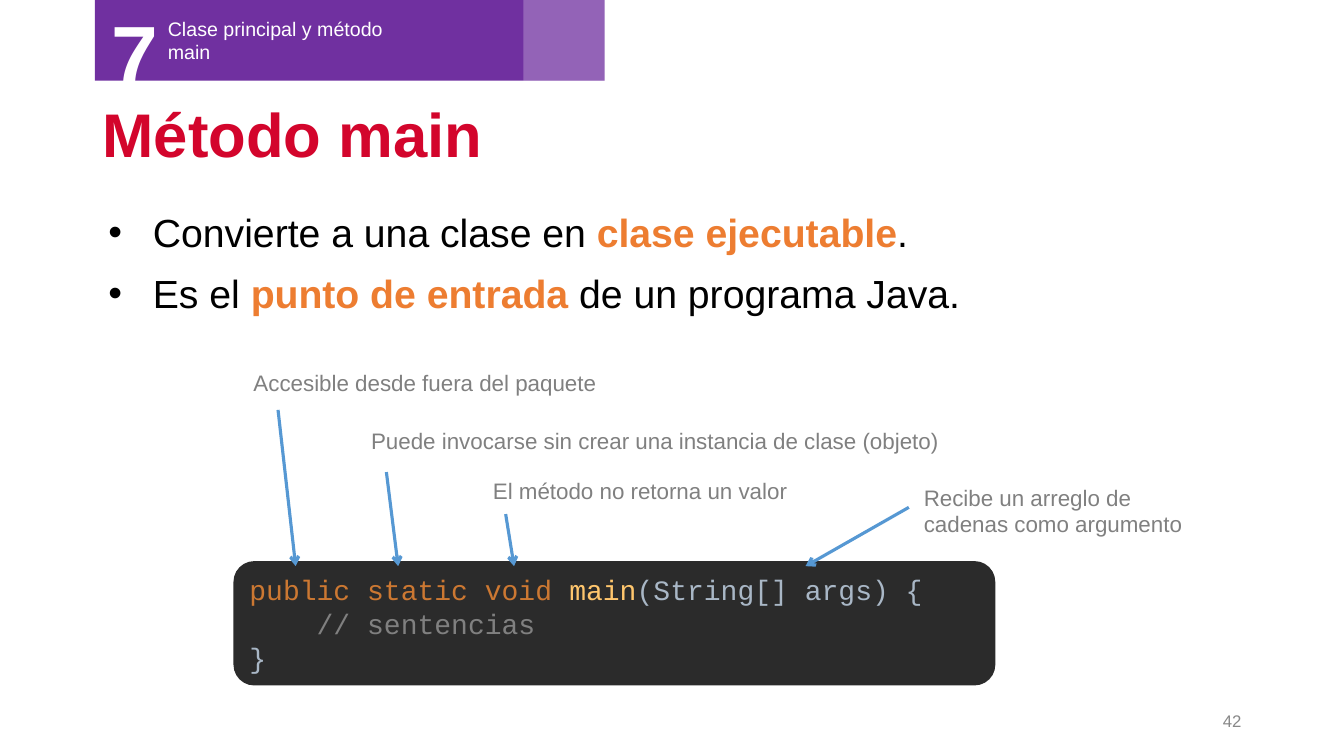
from dataclasses import dataclass

from lxml import etree
from pptx import Presentation
from pptx.dml.color import RGBColor
from pptx.enum.shapes import MSO_CONNECTOR, MSO_SHAPE
from pptx.enum.text import MSO_ANCHOR, MSO_AUTO_SIZE, PP_ALIGN
from pptx.oxml.ns import qn
from pptx.util import Inches, Pt

RECT, ROUND = MSO_SHAPE.RECTANGLE, MSO_SHAPE.ROUNDED_RECTANGLE
LINE = MSO_CONNECTOR.STRAIGHT
TOP, MIDDLE = MSO_ANCHOR.TOP, MSO_ANCHOR.MIDDLE
LEFT, RIGHT = PP_ALIGN.LEFT, PP_ALIGN.RIGHT
FIXED = MSO_AUTO_SIZE.NONE

COLS, ROWS = 160, 90
CELL = Inches(1) // 12
SANS, MONO = "Arial", "Courier New"
COLORS = {
    "title": "D3052C", "text": "000000", "accent": "ED7D31",
    "note": "808080", "page": "888888", "arrow": "5698D3",
    "banner": "7030A0", "white": "FFFFFF", "panel": "2B2B2B",
    "key": "CC7832", "name": "FFC66D", "code": "A9B7C6",
}


@dataclass(frozen=True)
class Box:
    x: float
    y: float
    w: float
    h: float

    def emu(self) -> list[int]:
        return [round(n * CELL) for n in (self.x, self.y, self.w, self.h)]


@dataclass(frozen=True)
class Label:
    text: str
    box: Box
    size: int = 16
    color: str = "note"
    bold: bool = False
    align: PP_ALIGN = LEFT
    anchor: MSO_ANCHOR = TOP


@dataclass(frozen=True)
class Arrow:
    x1: float
    y1: float
    x2: float
    y2: float


@dataclass(frozen=True)
class Span:
    text: str
    color: str
    bold: bool = False


TITLE = Label("Método main", Box(11, 11.2, 138, 10.3), 44, "title", True, anchor=MIDDLE)
BODY = Box(11, 24.2, 138, 57.4)
BULLETS = [
    [Span("Convierte a una clase en ", "text"),
     Span("clase ejecutable", "accent", True), Span(".", "text")],
    [Span("Es el ", "text"), Span("punto de entrada", "accent", True),
     Span(" de un programa Java.", "text")],
]
PANEL = Box(27.8, 66.8, 90.7, 14.8)
CODE = [
    [Span("public static void ", "key"), Span("main", "name"),
     Span("(String[] args) {", "code")],
    [Span("    // sentencias", "note")],
    [Span("}", "code")],
]
LABELS = [
    Label("42", Box(113, 83.4, 36, 4.8), 12, "page", align=RIGHT, anchor=MIDDLE),
    Label("Recibe un arreglo de cadenas como argumento", Box(108.8, 57, 34.3, 7.7)),
    Label("Accesible desde fuera del paquete", Box(29, 43.3, 77.3, 4.4)),
    Label("El método no retorna un valor", Box(57.5, 56.2, 51, 4.4)),
    Label("Puede invocarse sin crear una instancia de clase (objeto)",
          Box(43, 50.2, 77.3, 4.4)),
]
TIP = 67.4
ARROWS = [
    Arrow(33.1, 48.8, 35.2, TIP), Arrow(46, 56.2, 47.4, TIP),
    Arrow(60.2, 61.2, 61.2, TIP), Arrow(108.2, 60.4, 95.9, TIP),
]
BANNER = Box(11.3, 0, 60.7, 9.6)
SHADE = Box(62.3, 0, 9.7, 9.6)
HEADING = [
    Label("Clase principal y método main", Box(18.8, 1.4, 33, 6.8), 14, "white"),
    Label("7", Box(12.1, -0.4, 13.4, 13.3), 60, "white", True),
]


def rgb(name: str) -> RGBColor:
    return RGBColor.from_string(COLORS[name])


def place(shape, box: Box) -> None:
    shape.left, shape.top, shape.width, shape.height = box.emu()


def write(shape, label: Label) -> None:
    frame = shape.text_frame
    frame.word_wrap = True
    frame.auto_size = FIXED
    frame.vertical_anchor = label.anchor
    frame.text = label.text
    para = frame.paragraphs[0]
    para.alignment = label.align
    font = para.font
    font.name, font.size, font.bold = SANS, Pt(label.size), label.bold
    font.color.rgb = rgb(label.color)


def add_label(slide, label: Label) -> None:
    write(slide.shapes.add_textbox(*label.box.emu()), label)


def add_block(slide, kind: MSO_SHAPE, box: Box, color: str):
    shape = slide.shapes.add_shape(kind, *box.emu())
    shape.shadow.inherit = False
    shape.fill.solid()
    shape.fill.fore_color.rgb = rgb(color)
    shape.line.fill.background()
    return shape


def add_spans(para, spans: list[Span], face: str, size: int) -> None:
    para.alignment = LEFT
    para.font.name, para.font.size = face, Pt(size)
    for span in spans:
        run = para.add_run()
        run.text = span.text
        run.font.bold = span.bold
        run.font.color.rgb = rgb(span.color)


def add_bullet(para) -> None:
    props = para._p.get_or_add_pPr()
    props.set("marL", str(Inches(0.5)))
    props.set("indent", str(Inches(-0.44)))
    tint = etree.SubElement(props, qn("a:buClr"))
    etree.SubElement(tint, qn("a:srgbClr"), val=COLORS["text"])
    etree.SubElement(props, qn("a:buFont"), typeface=SANS)
    etree.SubElement(props, qn("a:buChar"), char="•")


def fill_body(shape) -> None:
    place(shape, BODY)
    frame = shape.text_frame
    frame.auto_size = FIXED
    for i, spans in enumerate(BULLETS):
        para = frame.add_paragraph() if i else frame.paragraphs[0]
        add_bullet(para)
        para.space_before = Pt(10 if i else 0)
        add_spans(para, spans, SANS, 28)


def add_code(slide) -> None:
    frame = add_block(slide, ROUND, PANEL, "panel").text_frame
    frame.vertical_anchor = MIDDLE
    frame.word_wrap = True
    for i, spans in enumerate(CODE):
        para = frame.add_paragraph() if i else frame.paragraphs[0]
        add_spans(para, spans, MONO, 20)


def add_arrow(slide, arrow: Arrow) -> None:
    ends = [round(n * CELL) for n in (arrow.x1, arrow.y1, arrow.x2, arrow.y2)]
    link = slide.shapes.add_connector(LINE, *ends)
    link.line.color.rgb = rgb("arrow")
    link.line.width = Pt(2.25)
    etree.SubElement(link.line._get_or_add_ln(), qn("a:tailEnd"), type="arrow")
    etree.SubElement(link._element.spPr, qn("a:effectLst"))


def add_banner(slide) -> None:
    add_block(slide, RECT, BANNER, "banner")
    for label in HEADING:
        add_label(slide, label)
    shade = add_block(slide, RECT, SHADE, "white")
    tint = shade._element.spPr.find(qn("a:solidFill"))[0]
    etree.SubElement(tint, qn("a:alpha"), val="25000")


def main() -> None:
    deck = Presentation()
    deck.slide_width, deck.slide_height = COLS * CELL, ROWS * CELL
    slide = deck.slides.add_slide(deck.slide_layouts[1])
    title = slide.shapes.title
    place(title, TITLE.box)
    write(title, TITLE)
    title.text_frame.paragraphs[0].line_spacing = 0.9
    fill_body(slide.placeholders[1])
    add_code(slide)
    for label in LABELS:
        add_label(slide, label)
    for arrow in ARROWS:
        add_arrow(slide, arrow)
    add_banner(slide)
    deck.save("out.pptx")


if __name__ == "__main__":
    main()
